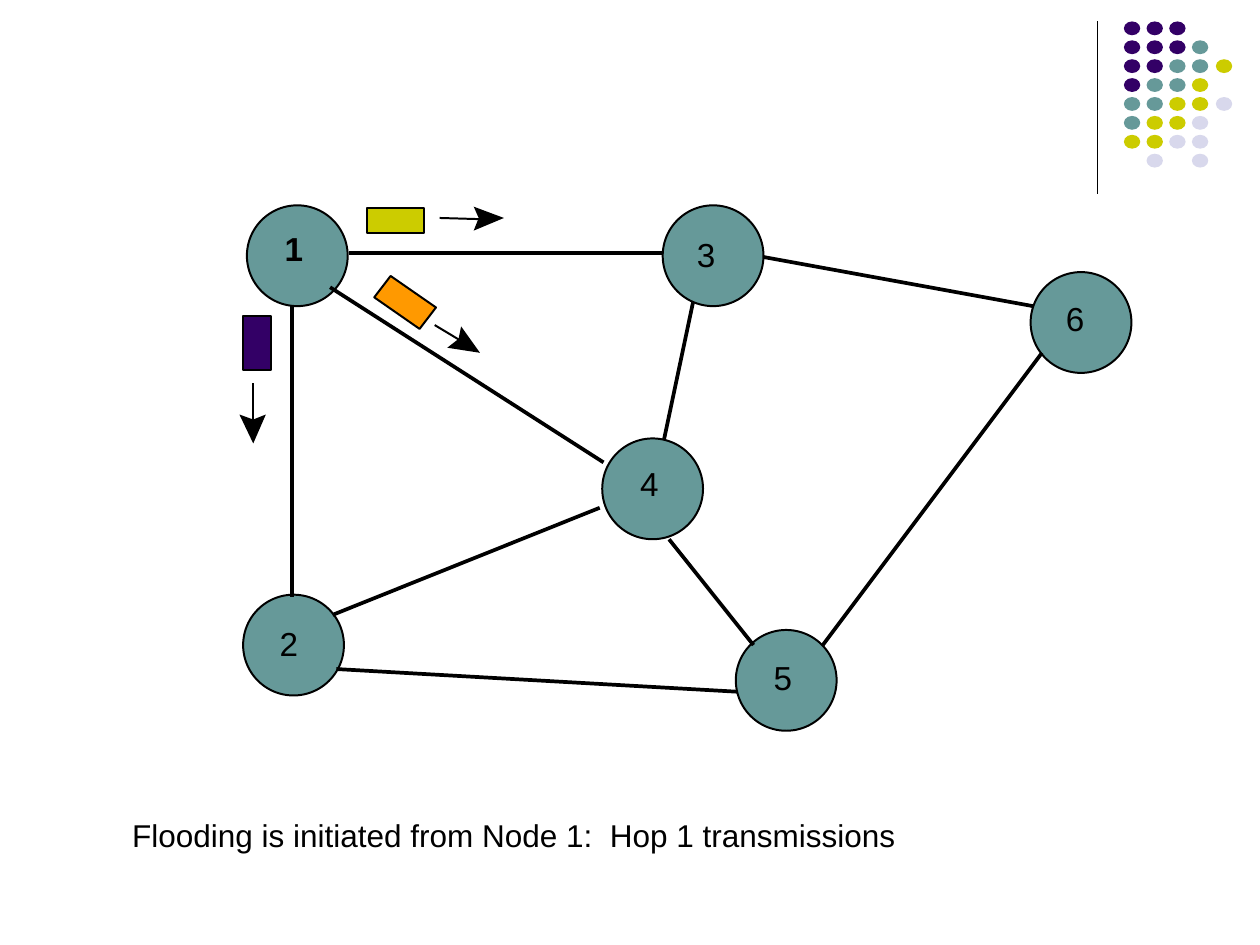
from dataclasses import dataclass
from lxml import etree
from pptx import Presentation
from pptx.dml.color import RGBColor
from pptx.enum.shapes import MSO_CONNECTOR, MSO_SHAPE
from pptx.enum.text import MSO_AUTO_SIZE
from pptx.oxml.ns import qn
from pptx.util import Pt

PX = 9144
OVAL, RECT = MSO_SHAPE.OVAL, MSO_SHAPE.RECTANGLE
LINE = MSO_CONNECTOR.STRAIGHT
FIT = MSO_AUTO_SIZE.SHAPE_TO_FIT_TEXT


@dataclass(frozen=True)
class Theme:
    ink: str = "000000"
    teal: str = "669999"
    plum: str = "330066"
    lime: str = "CCCC00"
    mist: str = "D8D8EC"
    amber: str = "FF9900"
    font: str = "Arial"
    label: int = 19
    body: int = 18
    rule: float = 0.75
    edge: float = 1.13
    link: float = 2.13


THEME = Theme()

DOTS = ["PPP", "PPPT", "PPTTL", "PTTL", "TTLLM", "TLLM", "LLMM", " M M"]
HUES = {"P": THEME.plum, "T": THEME.teal, "L": THEME.lime, "M": THEME.mist}

NODE = 80
NODES = {
    "1": (3, 0, 30, 18),
    "2": (0, 309, 29, 23),
    "3": (333, 0, 27, 23),
    "4": (285, 185, 30, 20),
    "5": (391, 337, 30, 22),
    "6": (625, 53, 28, 21),
}
LINKS = [
    (84, 38, 332, 38),
    (357, 77, 334, 186),
    (338, 265, 405, 349),
    (413, 41, 627, 80),
    (460, 349, 634, 117),
    (392, 386, 74, 368),
    (39, 80, 39, 311),
    (69, 65, 286, 204),
    (283, 240, 71, 325),
]
PACKS = [(98, 2, 46, 20, THEME.lime), (0, 88, 22, 43, THEME.plum)]
TILT = [(117, 56), (104, 73), (140, 98), (153, 81)]
ARROWS = [
    ((156, 10, 190, 11), [(183, 20), (187, 10), (183, 1), (207, 10)]),
    ((152, 95, 172, 107), [(162, 113), (171, 106), (173, 96), (188, 117)]),
    ((8, 141, 8, 173), [(-3, 166), (8, 170), (18, 166), (8, 189)]),
]


def emu(*nums):
    return [n * PX for n in nums]


def paint(shape, fill, edge=None):
    shape.shadow.inherit = False
    shape.fill.solid()
    shape.fill.fore_color.rgb = RGBColor.from_string(fill)
    if edge:
        shape.line.color.rgb = RGBColor.from_string(THEME.ink)
        shape.line.width = Pt(edge)
    else:
        shape.line.fill.background()


def block(shapes, kind, x, y, w, h, fill, edge=None):
    paint(shapes.add_shape(kind, *emu(x, y, w, h)), fill, edge)


def poly(shapes, x, y, points, fill, edge=None):
    spots = [emu(x + a, y + b) for a, b in points]
    form = shapes.build_freeform(*spots[0], scale=1.0)
    form.add_line_segments(spots[1:], close=True)
    paint(form.convert_to_shape(), fill, edge)


def stroke(shapes, x, y, ends, width):
    a, b, c, d = ends
    line = shapes.add_connector(LINE, *emu(x + a, y + b, x + c, y + d))
    line.line.color.rgb = RGBColor.from_string(THEME.ink)
    line.line.width = Pt(width)
    etree.SubElement(line._element.spPr, qn("a:effectLst"))


def write(shapes, x, y, w, h, text, size, bold=False, wrap=True, inset=None):
    frame = shapes.add_textbox(*emu(x, y, w, h)).text_frame
    frame.word_wrap = wrap
    frame.auto_size = FIT
    if inset is not None:
        frame.margin_left = frame.margin_right = inset * PX
        frame.margin_top = frame.margin_bottom = inset * PX
    run = frame.paragraphs[0].add_run()
    run.text = text
    run.font.name = THEME.font
    run.font.size = Pt(size)
    run.font.bold = bold
    run.font.color.rgb = RGBColor.from_string(THEME.ink)


def motif(slide, x, y):
    stroke(slide.shapes, x, y, (0, 0, 0, 137), THEME.rule)
    dots = slide.shapes.add_group_shape().shapes
    for r, row in enumerate(DOTS):
        for c, key in enumerate(row):
            if key in HUES:
                left, top = x + 21 + c * 73 // 4, y + r * 151 // 10
                block(dots, OVAL, left, top, 13, 11, HUES[key])


def graph(slide, x, y):
    parts = slide.shapes.add_group_shape().shapes
    for a, b, _, _ in NODES.values():
        block(parts, OVAL, x + a, y + b, NODE, NODE, THEME.teal, THEME.edge)
    for ends in LINKS:
        stroke(parts, x, y, ends, THEME.link)
    for name, (a, b, dx, dy) in NODES.items():
        write(parts, x + a + dx, y + b + dy, 15, 32, name, THEME.label,
              bold=name == "1", wrap=False, inset=0)
    for a, b, w, h, fill in PACKS:
        block(parts, RECT, x + a, y + b, w, h, fill, THEME.edge)
    poly(parts, x, y, TILT, THEME.amber, THEME.edge)
    for ends, head in ARROWS:
        stroke(parts, x, y, ends, THEME.edge)
        poly(parts, x, y, head, THEME.ink)


def note(slide, x, y, w, h):
    write(slide.shapes, x, y, w, h,
          "Flooding is initiated from Node 1:  Hop 1 transmissions", THEME.body)


def main():
    deck = Presentation()
    deck.slide_width, deck.slide_height = emu(1000, 750)
    slide = deck.slides.add_slide(deck.slide_layouts[6])
    motif(slide, 871, 17)
    graph(slide, 193, 163)
    note(slide, 95, 643, 671, 40)
    deck.save("out.pptx")


if __name__ == "__main__":
    main()
